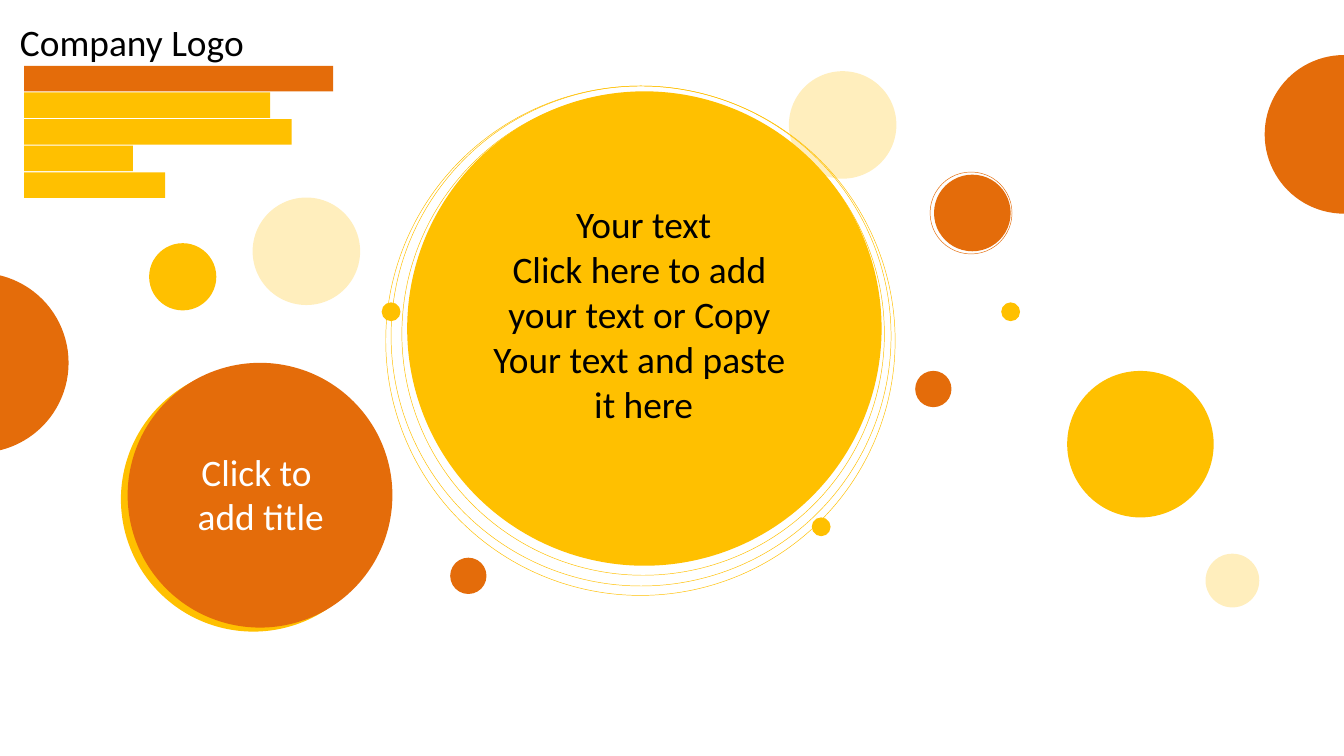
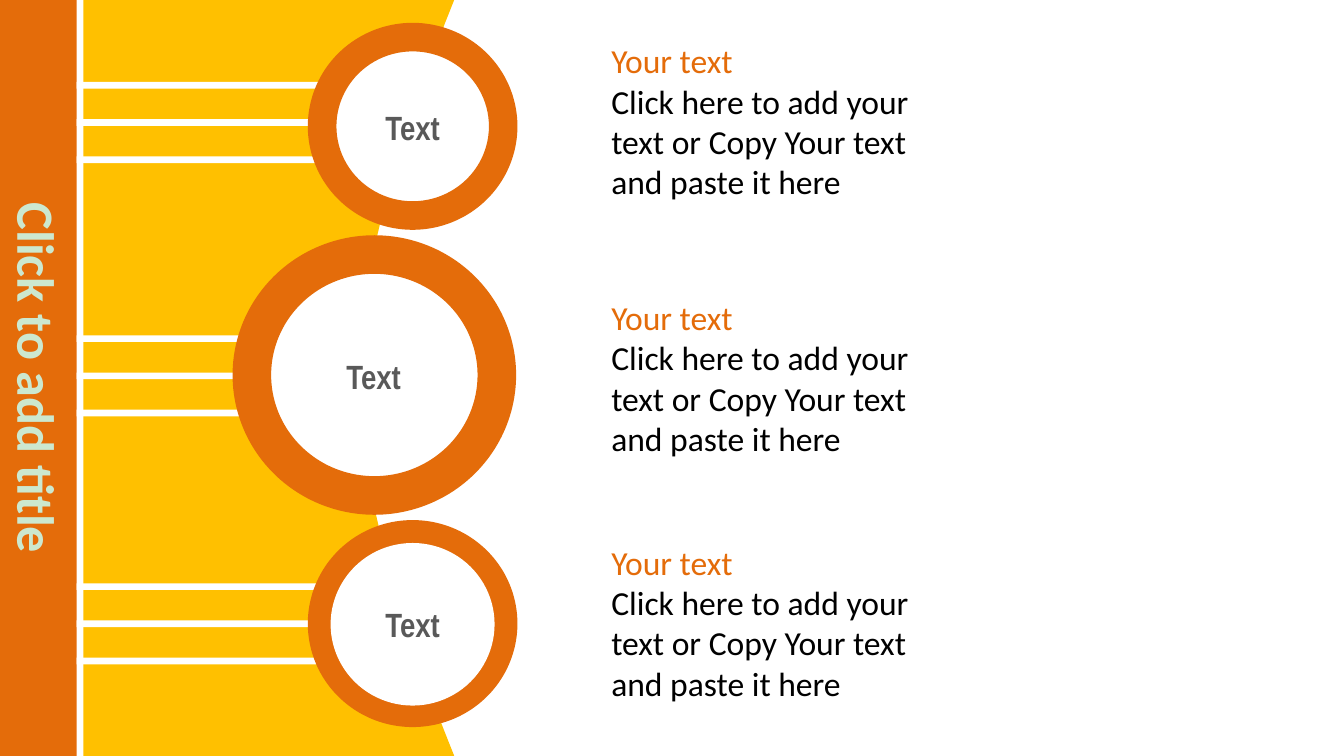
from lxml import etree
from pptx import Presentation
from pptx import util as u
from pptx.dml.color import RGBColor
from pptx.enum import shapes, text
from pptx.oxml.ns import qn

# Grid: 100 columns by 56.25 rows of square cells
COLUMNS, ROWS = 100, 56.25
CELL = u.Inches(0.1)
COLORS = {
    "orange": "E46C0A",
    "yellow": "FFC000",
    "white": "FFFFFF",
    "mint": "CCE8CF",
    "black": "000000",
    "gray": "595959",
}
OVAL, BAR, DONUT = (shapes.MSO_SHAPE.OVAL, shapes.MSO_SHAPE.RECTANGLE,
                    shapes.MSO_SHAPE.DONUT)
CENTER, LEFT = text.PP_ALIGN.CENTER, text.PP_ALIGN.LEFT


def cells(*values):
    return [round(value * CELL) for value in values]


def rgb(name):
    return RGBColor.from_string(COLORS[name])


def paint(shape, fill=None, line=None, alpha=None):
    shape.shadow.inherit = False
    if fill:
        shape.fill.solid()
        shape.fill.fore_color.rgb = rgb(fill)
    else:
        shape.fill.background()
    if alpha:
        color = shape.fill._xPr.find(".//" + qn("a:srgbClr"))
        etree.SubElement(color, qn("a:alpha"), val=str(alpha * 1000))
    if line:
        shape.line.color.rgb = rgb(line)
        shape.line.width = u.Pt(0.25)
    else:
        shape.line.fill.background()


def add_shape(slide, kind, box, fill=None, line=None, alpha=None):
    shape = slide.shapes.add_shape(kind, *cells(*box))
    paint(shape, fill, line, alpha)
    return shape


def add_circle(slide, left, top, size, fill=None, line=None, alpha=None):
    return add_shape(slide, OVAL, (left, top, size, size), fill, line, alpha)


def write(shape, lines, size, colors, align=CENTER, font="Calibri", bold=False):
    """Write one paragraph a line; the last colour serves the remaining lines."""
    frame = shape.text_frame
    frame.text = "\n".join(lines)
    for index, paragraph in enumerate(frame.paragraphs):
        paragraph.alignment = align
        for run in paragraph.runs:
            run.font.size, run.font.name, run.font.bold = u.Pt(size), font, bold
            run.font.color.rgb = rgb(colors[min(index, len(colors) - 1)])


def add_text(slide, box, lines, size, colors, align=CENTER, wrap=True):
    shape = slide.shapes.add_textbox(*cells(*box))
    shape.text_frame.word_wrap = wrap
    write(shape, lines, size, colors, align)


def new_slide(presentation):
    slide = presentation.slides.add_slide(presentation.slide_layouts[6])
    slide.background.fill.solid()
    slide.background.fill.fore_color.rgb = rgb("white")
    return slide


# Slide 1: floating circles
def build_circles(presentation):
    slide = new_slide(presentation)
    add_circle(slide, 9, 27.3, 19.7, "yellow")

    # Logo bars
    for row, width in enumerate((23, 18.3, 19.9, 8.1, 10.5)):
        fill = "yellow" if row else "orange"
        add_shape(slide, BAR, (1.8, 4.9 + 1.98 * row, width, 1.9), fill)
    add_text(slide, (0.5, 0.9, 18.8, 4.4), ["Company Logo"], 20, ["black"],
             LEFT, wrap=False)

    # Solid circles: left, top, diameter
    for left, top, size, fill in (
            (-8.3, 20.3, 13.4, "orange"), (30.3, 6.8, 35.3, "yellow"),
            (9.5, 27, 19.7, "orange"), (11.1, 18.1, 5, "yellow"),
            (79.4, 27.6, 10.9, "yellow"), (68.1, 27.6, 2.7, "orange"),
            (69.5, 13, 5.7, "orange"), (94.1, 4.1, 11.8, "orange"),
            (33.5, 41.5, 2.7, "orange")):
        add_circle(slide, left, top, size, fill)

    # Pale circles
    for left, top, size in ((18.8, 14.7, 8), (58.7, 5.3, 8), (89.7, 41.2, 4)):
        add_circle(slide, left, top, size, "yellow", alpha=26)

    # Thin rings with dots on top
    for left, top, size, line in (
            (29.9, 6.9, 35.9, "yellow"), (28.7, 6.4, 37.9, "yellow"),
            (29.1, 6.4, 37.2, "yellow"), (69.2, 12.8, 6.1, "orange")):
        add_circle(slide, left, top, size, line=line)
    for left, top in ((60.4, 38.5), (28.4, 22.5), (74.5, 22.5)):
        add_circle(slide, left, top, 1.4, "yellow")

    add_text(slide, (35.1, 14.5, 25.6, 24.6),
             ["Your text", "Click here to add ", "your text or Copy ",
              "Your text and paste ", "it here"], 20, ["black"])
    add_text(slide, (12, 32.9, 14.8, 7.7), ["Click to ", "add title"], 20,
             ["white"])


# Slide 2: side panel with three rings
def curve(start, control_1, control_2, end, steps=16):
    """Points along a cubic curve, without its start."""
    for step in range(1, steps + 1):
        t = step / steps
        weights = (1 - t) ** 3, 3 * t * (1 - t) ** 2, 3 * t * t * (1 - t), t ** 3
        yield tuple(sum(weight * point[axis] for weight, point in
                        zip(weights, (start, control_1, control_2, end)))
                    for axis in (0, 1))


def add_panel_half(slide, upper):
    middle, waist, edge = (26.7, 28.1), (28.9, 42.2), (33.8, ROWS)
    points = [middle, *curve(middle, (26.7, 33.6), (27.8, 37.5), waist),
              *curve(waist, (30.1, 46.9), (31.2, 49.7), edge),
              (6.2, ROWS), (6.2, 28.1)]
    if upper:
        points = [(x, ROWS - y) for x, y in points]
    points = [cells(*point) for point in points]
    builder = slide.shapes.build_freeform(*points[0])
    builder.add_line_segments(points[1:], close=True)
    paint(builder.convert_to_shape(), "yellow")


def add_disc(slide, box):
    disc = add_shape(slide, OVAL, box, "white")
    disc.text_frame.vertical_anchor = text.MSO_ANCHOR.MIDDLE
    write(disc, ["Text"], 18, ["gray"], font="Arial Narrow", bold=True)


def add_ring(slide, box):
    ring = add_shape(slide, DONUT, box, "orange")
    ring.rotation = 180
    ring.adjustments[0] = 0.138


def add_stripes(slide, top, width):
    for row in range(3):
        add_shape(slide, BAR, (5.7, top + 2.77 * row, width, 0.5), "white")


def build_side_panel(presentation):
    slide = new_slide(presentation)

    # Title band, turned to run down the left edge
    band = add_shape(slide, BAR, ((5.7 - ROWS) / 2, (ROWS - 5.7) / 2, ROWS, 5.7),
                     "orange")
    band.rotation = 90
    band.text_frame.vertical_anchor = text.MSO_ANCHOR.MIDDLE
    write(band, ["Click to add title"], 28, ["mint"], bold=True)

    for upper in (False, True):
        add_panel_half(slide, upper)

    # Each item: stripes, ring, disc and text; the last disc lies over its ring
    for stripes, ring, disc, text_top, disc_on_top in (
            ((6.1, 18.9), (22.9, 1.7, 15.6, 15.4), (24.6, 3.4, 12.2, 12.1),
             2.5, False),
            ((24.95, 13.6), (17.3, 17.5, 21.1, 20.8), (19.5, 19.8, 16.6, 16.4),
             21.6, False),
            ((43.4, 18.9), (22.9, 38.7, 15.6, 15.4), (24.6, 40.4, 12.2, 12.1),
             39.8, True)):
        add_stripes(slide, *stripes)
        parts = [(add_disc, disc), (add_ring, ring)]
        for add_part, box in reversed(parts) if disc_on_top else parts:
            add_part(slide, box)
        add_text(slide, (44.5, text_top, 25, 13.1),
                 ["Your text", "Click here to add your",
                  "text or Copy Your text", "and paste it here"],
                 18, ["orange", "black"], LEFT, wrap=False)


def main():
    presentation = Presentation()
    presentation.slide_width, presentation.slide_height = cells(COLUMNS, ROWS)
    build_circles(presentation)
    build_side_panel(presentation)
    presentation.save("out.pptx")


if __name__ == "__main__":
    main()
